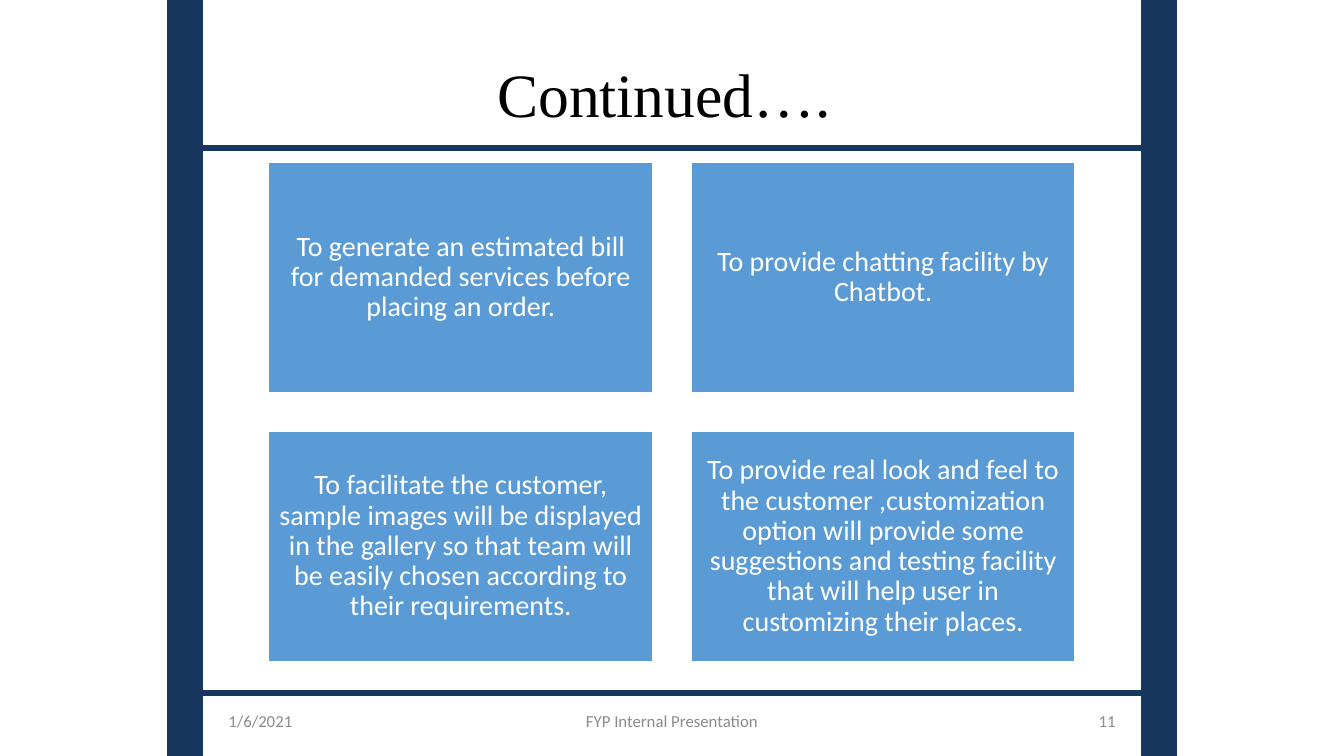
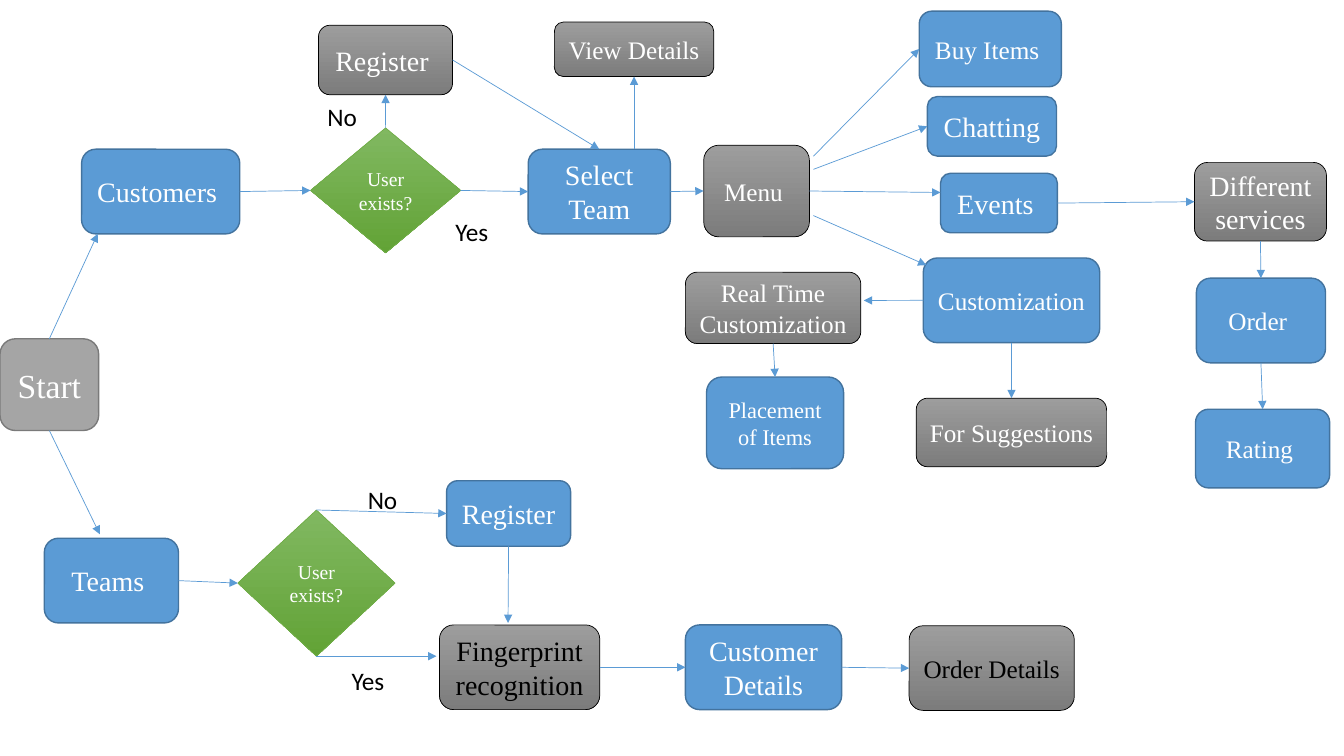
from lxml.etree import SubElement
from pptx import Presentation
from pptx.dml.color import RGBColor
from pptx.enum.shapes import MSO_CONNECTOR, MSO_SHAPE
from pptx.enum.text import MSO_ANCHOR, PP_ALIGN
from pptx.oxml.ns import qn
from pptx.util import Pt

NAVY = RGBColor(0x17, 0x37, 0x5E)
BLUE = RGBColor(0x5B, 0x9B, 0xD5)
BLUE_EDGE = RGBColor(0x43, 0x73, 0x9E)
GRAY = RGBColor(0xA5, 0xA5, 0xA5)
GRAY_EDGE = RGBColor(0x7A, 0x7A, 0x7A)
GRAY_LIGHT = RGBColor(0x9D, 0x9D, 0x9D)
GRAY_DARK = RGBColor(0x7C, 0x7C, 0x7C)
GREEN_LIGHT = RGBColor(0x81, 0xB8, 0x61)
GREEN_DARK = RGBColor(0x62, 0xA3, 0x36)
GREEN_EDGE = RGBColor(0x70, 0xAD, 0x47)
FOOTER_GRAY = RGBColor(0x8B, 0x8B, 0x8B)
WHITE = RGBColor(0xFF, 0xFF, 0xFF)
BLACK = RGBColor(0, 0, 0)

SERIF = "Times New Roman"
SANS = "Calibri"
TOP, LEFT, BOTTOM, RIGHT = range(4)
PROCESS = MSO_SHAPE.FLOWCHART_ALTERNATE_PROCESS
DECISION = MSO_SHAPE.FLOWCHART_DECISION

# kind: preset, fill colours, edge, edge width, text colour
KINDS = {
    "start": (PROCESS, (GRAY,), GRAY_EDGE, 1, WHITE),
    "blue": (PROCESS, (BLUE,), BLUE_EDGE, 1, WHITE),
    "gray": (PROCESS, (GRAY_LIGHT, GRAY_DARK), BLACK, 0.5, WHITE),
    "gray_dark_text": (PROCESS, (GRAY_LIGHT, GRAY_DARK), BLACK, 0.5, BLACK),
    "choice": (DECISION, (GREEN_LIGHT, GREEN_DARK), GREEN_EDGE, 0.5, WHITE),
}

CARDS = [
    "To generate an estimated bill for demanded services before placing an order.",
    "To provide chatting facility by Chatbot.",
    "To facilitate the customer, sample images will be displayed in the gallery "
    "so that team will be easily chosen according to their requirements.",
    "To provide real look and feel to the customer ,customization option will "
    "provide some suggestions and testing facility that will help user in "
    "customizing their places.",
]

NODES = {
    "start": ("Start ", "start", 24, 0, 242, 70.5, 65.5),
    "customers": ("Customers ", "blue", 20, 58.3, 106.6, 113, 60.5),
    "teams": ("Teams ", "blue", 20, 31.7, 384.5, 95.8, 60.5),
    "fingerprint": ("Fingerprint recognition", "gray_dark_text", 20, 313.9, 446.4, 114.5, 60.5),
    "customer_register": ("Register ", "gray", 20, 227.5, 18, 95.8, 49.7),
    "select_team": ("Select Team", "blue", 20, 377.3, 106.6, 101.5, 60.5),
    "team_exists": ("User exists?", "choice", 14, 169.9, 364.3, 112.3, 104.4),
    "team_register": ("Register", "blue", 20, 319, 343.4, 88.6, 46.8),
    "order_details": ("Order Details", "gray_dark_text", 18, 649.4, 447, 118, 60.5),
    "customer_details": ("Customer Details", "blue", 20, 489.6, 446.4, 111.6, 60.5),
    "order": ("Order ", "blue", 18, 854.6, 198.7, 92.2, 60.5),
    "services": ("Different services", "gray", 20, 853.2, 116, 94.3, 56.2),
    "events": ("Events ", "blue", 20, 671.8, 123.8, 83.5, 42.5),
    "buy_items": ("Buy Items ", "blue", 18, 656.6, 8, 101.5, 54),
    "menu": ("Menu ", "gray", 18, 502.6, 103.7, 75.6, 65.5),
    "placement": ("Placement of Items", "blue", 16, 504.7, 269.3, 97.9, 65.5),
    "rating": ("Rating ", "blue", 18, 854, 292.3, 95.8, 56.2),
    "chatting": ("Chatting ", "blue", 20, 662.4, 69, 92.2, 42.5),
    "view_details": ("View Details", "gray", 18, 396, 15.8, 113.8, 38.9),
    "customization": ("Customization", "blue", 18, 659.5, 184.3, 126, 60.5),
    "customer_exists": ("User exists?", "choice", 14, 221.8, 91.4, 107.3, 89.3),
    "real_time": ("Real Time Customization", "gray", 18, 489.6, 194.4, 125.3, 51),
    "suggestions": ("For Suggestions", "gray", 18, 654.5, 284.4, 136, 49),
}

LABELS = [
    ("Yes", 244, 471.6),
    ("No", 255.6, 342),
    ("Yes", 318.2, 150.5),
    ("No", 226.8, 69),
]

LINKS = [
    (("menu", RIGHT), (671.8, 137.5)),
    ((581, 154), (661.7, 189.4)),
    ((581, 121), ("chatting", LEFT)),
    ((581, 111.6), ("buy_items", LEFT)),
    (("events", RIGHT), ("services", LEFT)),
    (("services", BOTTOM), ("order", TOP)),
    (("order", BOTTOM), ("rating", TOP)),
    (("customization", BOTTOM), ("suggestions", TOP)),
    (("customization", LEFT), (617, 214.6)),
    (("real_time", BOTTOM), ("placement", TOP)),
    (("start", TOP), (69.8, 167)),
    (("start", BOTTOM), (71.3, 381.6)),
    (("customers", RIGHT), ("customer_exists", LEFT)),
    (("teams", RIGHT), ("team_exists", LEFT)),
    (("team_exists", BOTTOM), (311.8, 468.7)),
    (("customer_exists", TOP), ("customer_register", BOTTOM)),
    (("customer_register", RIGHT), ("select_team", TOP)),
    (("customer_exists", RIGHT), ("select_team", LEFT)),
    (("select_team", RIGHT), ("menu", LEFT)),
    ((452.9, 106.6), ("view_details", BOTTOM)),
    (("team_exists", TOP), ("team_register", LEFT)),
    (("team_register", BOTTOM), (362.9, 445)),
    (("fingerprint", RIGHT), ("customer_details", LEFT)),
    (("customer_details", RIGHT), ("order_details", LEFT)),
]


def set_text(sp, text, size, color, font, align=PP_ALIGN.CENTER, wrap=True):
    tf = sp.text_frame
    tf.word_wrap = wrap
    tf.vertical_anchor = MSO_ANCHOR.MIDDLE
    p = tf.paragraphs[0]
    p.text = text
    p.alignment = align
    p.font.size = Pt(size)
    p.font.name = font
    p.font.color.rgb = color
    return tf


def add_text(s, x, y, w, h, *args, **kwargs):
    sp = s.shapes.add_textbox(Pt(x), Pt(y), Pt(w), Pt(h))
    return set_text(sp, *args, **kwargs)


def add_box(s, preset, x, y, w, h, fills, edge, edge_width):
    sp = s.shapes.add_shape(preset, Pt(x), Pt(y), Pt(w), Pt(h))
    sp.shadow.inherit = False
    if len(fills) == 1:
        sp.fill.solid()
        sp.fill.fore_color.rgb = fills[0]
    else:
        sp.fill.gradient()
        sp.fill.gradient_angle = 270
        for stop, color in zip(sp.fill.gradient_stops, fills):
            stop.color.rgb = color
    sp.line.color.rgb = edge
    sp.line.width = Pt(edge_width)
    return sp


def add_line(s, x1, y1, x2, y2, color, width):
    line = s.shapes.add_connector(MSO_CONNECTOR.STRAIGHT, Pt(x1), Pt(y1), Pt(x2), Pt(y2))
    line.line.color.rgb = color
    line.line.width = Pt(width)
    SubElement(line._element.spPr, qn("a:effectLst"))
    return line


def draw_frame(s, x, y, w, h):
    bar = 24
    for bar_x in (x, x + w - bar):
        add_box(s, MSO_SHAPE.RECTANGLE, bar_x, y, bar, h, (NAVY,), NAVY, 2)
    for rule_y in (y + 106, y + 495):
        add_line(s, x + bar, rule_y, x + w - bar, rule_y, NAVY, 4.25)


def draw_footer(s, x, y, w, h):
    parts = [
        ("1/6/2021", 0, 168, PP_ALIGN.LEFT),
        ("FYP Internal Presentation", (w - 228) / 2, 228, PP_ALIGN.CENTER),
        ("11", w - 168, 168, PP_ALIGN.RIGHT),
    ]
    for text, dx, width, align in parts:
        add_text(s, x + dx, y, width, h, text, 12, FOOTER_GRAY, SANS, align)


def draw_cards(s, x, y, w, h, gap=27.5):
    card_w, card_h = (w - gap) / 2, (h - gap) / 2
    for i, text in enumerate(CARDS):
        row, col = divmod(i, 2)
        sp = add_box(s, MSO_SHAPE.RECTANGLE, x + col * (card_w + gap),
                     y + row * (card_h + gap), card_w, card_h, (BLUE,), WHITE, 1)
        tf = set_text(sp, text, 20, WHITE, SANS)
        tf.margin_left = tf.margin_right = tf.margin_top = tf.margin_bottom = Pt(6)
        tf.paragraphs[0].line_spacing = 0.9


def draw_link(s, x, y, start, end, shapes):
    ends = [(0, 0) if e[0] in shapes else e for e in (start, end)]
    (x1, y1), (x2, y2) = ends
    line = add_line(s, x + x1, y + y1, x + x2, y + y2, BLUE, 0.5)
    if start[0] in shapes:
        line.begin_connect(shapes[start[0]], start[1])
    if end[0] in shapes:
        line.end_connect(shapes[end[0]], end[1])
    SubElement(line.line._get_or_add_ln(), qn("a:tailEnd"), type="triangle")


def draw_flow(s, x, y):
    shapes = {}
    for name, (text, kind, size, dx, dy, w, h) in NODES.items():
        preset, fills, edge, edge_width, color = KINDS[kind]
        sp = add_box(s, preset, x + dx, y + dy, w, h, fills, edge, edge_width)
        set_text(sp, text, size, color, SERIF)
        shapes[name] = sp
    for text, dx, dy in LABELS:
        add_text(s, x + dx, y + dy, 46, 29, text, 18, BLACK, SANS, PP_ALIGN.LEFT, wrap=False)
    for start, end in LINKS:
        draw_link(s, x, y, start, end, shapes)


def objectives_slide(prs):
    s = prs.slides.add_slide(prs.slide_layouts[6])
    add_text(s, 156, 21.6, 648, 90, "Continued…. ", 44, BLACK, SERIF)
    draw_footer(s, 156, 500.5, 648, 28.8)
    draw_frame(s, 120, 0, 720, 540)
    draw_cards(s, 192, 116, 576, 356.5)


def flow_slide(prs):
    s = prs.slides.add_slide(prs.slide_layouts[6])
    draw_flow(s, 0, 0)


def main():
    prs = Presentation()
    prs.slide_width, prs.slide_height = Pt(960), Pt(540)
    objectives_slide(prs)
    flow_slide(prs)
    prs.save("out.pptx")


if __name__ == "__main__":
    main()
